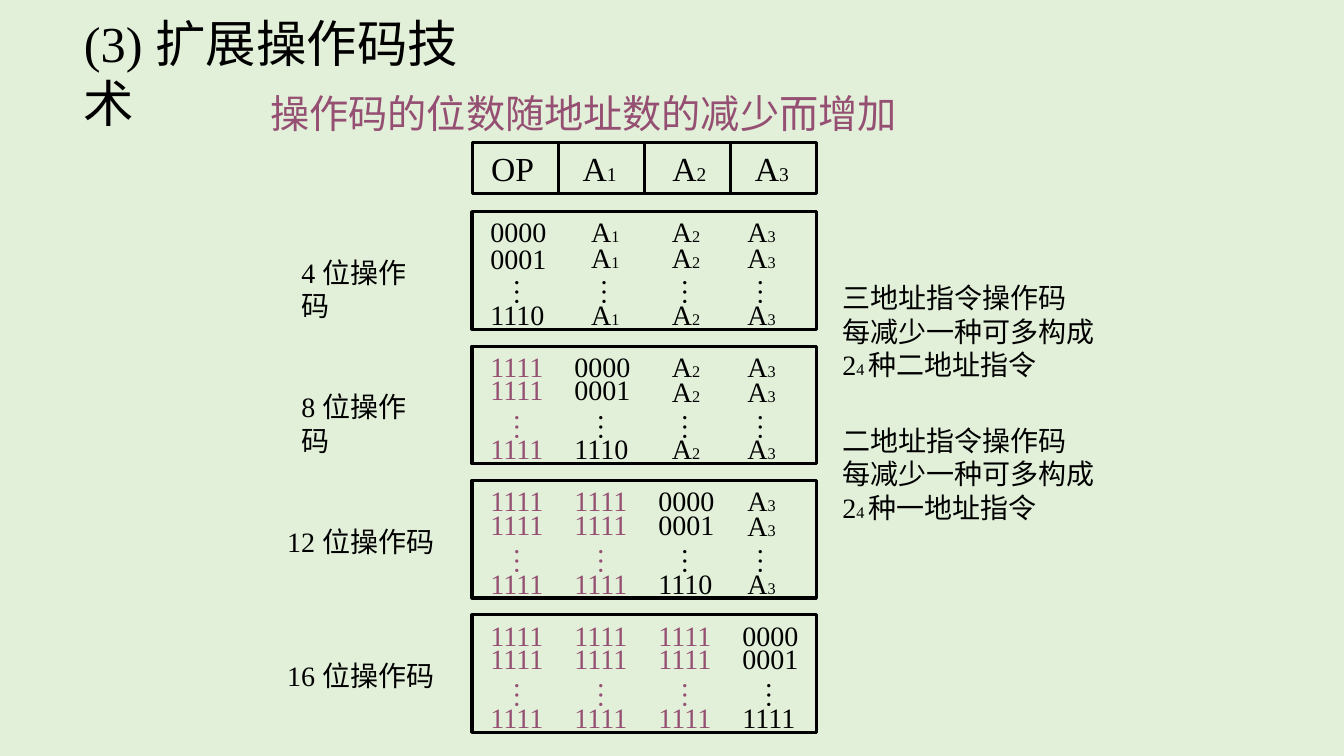
import dataclasses

import pptx
import pptx.dml.color
import pptx.enum.shapes
import pptx.enum.text
import pptx.util

SLIDE_WIDTH, SLIDE_HEIGHT = pptx.util.Inches(13.33), pptx.util.Inches(7.5)
COLUMN, ROW = SLIDE_WIDTH / 16, SLIDE_HEIGHT / 45


@dataclasses.dataclass(frozen=True)
class Theme:
    font: str = "Times New Roman"
    background: str = "E2F0D9"
    ink: str = "000000"
    accent: str = "954F72"
    title: int = 36
    subtitle: int = 28
    header: int = 24
    body: int = 20
    line: float = 2.25
    subscript: int = -25
    low_subscript: int = -15
    superscript: int = 30


THEME = Theme()


@dataclasses.dataclass(frozen=True)
class Box:
    """An area measured in grid columns and rows."""
    left: float
    top: float
    width: float
    height: float

    def inner(self, left, top, width, height):
        return Box(self.left + left, self.top + top, width, height)

    def lengths(self):
        return (round(self.left * COLUMN), round(self.top * ROW),
                round(self.width * COLUMN), round(self.height * ROW))


def color(value):
    return pptx.dml.color.RGBColor.from_string(value)


def write(frame, lines, size, ink=THEME.ink, wrap=True):
    """Fill a frame; each line is a list of (text, baseline shift) pairs."""
    frame.auto_size = pptx.enum.text.MSO_AUTO_SIZE.NONE
    frame.vertical_anchor = pptx.enum.text.MSO_ANCHOR.TOP
    frame.word_wrap = wrap
    for index, line in enumerate(lines):
        para = frame.add_paragraph() if index else frame.paragraphs[0]
        para.alignment = pptx.enum.text.PP_ALIGN.LEFT
        for text, shift in line:
            run = para.add_run()
            run.text = text
            run.font.name = THEME.font
            run.font.size = pptx.util.Pt(size)
            run.font.color.rgb = color(ink)
            if shift:
                run.font._element.set("baseline", str(shift))


def add_text(page, box, lines, size=THEME.body, ink=THEME.ink, wrap=True):
    shape = page.shapes.add_textbox(*box.lengths())
    write(shape.text_frame, lines, size, ink, wrap)
    return shape


def add_frame(page, box):
    frame = page.shapes.add_shape(
        pptx.enum.shapes.MSO_SHAPE.RECTANGLE, *box.lengths())
    frame.shadow.inherit = False
    frame.fill.background()
    frame.line.color.rgb = color(THEME.ink)
    frame.line.width = pptx.util.Pt(THEME.line)


def add_dots(page, box, ink):
    dots = add_text(page, box, [[("…", 0)]], ink=ink, wrap=False)
    dots.text_frame._txBody.bodyPr.set("vert", "eaVert")


def add_headings(page, title_box, subtitle_box):
    title = page.shapes.title
    title.left, title.top, title.width, title.height = title_box.lengths()
    write(title.text_frame, [[("(3) 扩展操作码技术", 0)]], THEME.title)
    add_text(page, subtitle_box, [[("操作码的位数随地址数的减少而增加", 0)]],
             THEME.subtitle, THEME.accent)


def add_format_header(page, box):
    cell_width = box.width / 4
    for field, text_left in enumerate((0.11, 1.12, 2.19, 3.17)):
        add_frame(page, box.inner(field * cell_width, 0, cell_width, box.height))
        line = [(" A", 0), (str(field), THEME.subscript)] if field else [("OP", 0)]
        add_text(page, box.inner(text_left, 0, 0.76, box.height), [line],
                 THEME.header, wrap=False)


def add_code_field(page, box, field, codes, second_top, ink):
    left = 0.1 + field
    for code, top in zip(codes, (-0.1, second_top, 4.8)):
        add_text(page, box.inner(left, top, 0.91, 2.6), [[(code, 0)]],
                 ink=ink, wrap=False)
    add_dots(page, box.inner(left + 0.16, 3.4, 0.65, 2.3), ink)


def add_address_field(page, box, field):
    left = (1.3, 2.26, 3.16)[field - 1]
    shifts = (THEME.subscript, THEME.subscript, THEME.low_subscript)
    for top, shift in zip((-0.1, 1.4, 4.8), shifts):
        add_text(page, box.inner(left, top, 0.6, 2.6),
                 [[("A", 0), (str(field), shift)]], wrap=False)
    add_dots(page, box.inner(left, 3.4, 0.65, 2.3), THEME.ink)


def add_opcode_block(page, box, level):
    """Draw the instructions whose opcode fills the fields up to level."""
    add_frame(page, box)
    second_top = 1.3 if level else 1.5
    last_code = "1111" if level == 3 else "1110"
    for field in range(4):
        if field < level:
            add_code_field(page, box, field, ["1111"] * 3, second_top, THEME.accent)
        elif field == level:
            add_code_field(page, box, field, ["0000", "0001", last_code],
                           second_top, THEME.ink)
        else:
            add_address_field(page, box, field)
    bits = 4 * (level + 1)
    width = 1.82 if bits < 10 else 1.99
    left = -2.15 if bits < 10 else -2.32
    add_text(page, box.inner(left, 2.3, width, 2.6), [[(f"{bits} 位操作码", 0)]])


def add_note(page, box, source, target):
    add_text(page, box, [
        [(f"{source}地址指令操作码", 0)],
        [("每减少一种可多构成", 0)],
        [("2", 0), ("4 ", THEME.superscript), (f"种{target}地址指令", 0)],
    ])


def main():
    deck = pptx.Presentation()
    deck.slide_width, deck.slide_height = SLIDE_WIDTH, SLIDE_HEIGHT
    page = deck.slides.add_slide(deck.slide_layouts.get_by_name("Title Only"))
    page.background.fill.solid()
    page.background.fill.fore_color.rgb = color(THEME.background)

    add_headings(page, Box(0.88, 0.4, 5.29, 4.2), Box(3.1, 5, 8.58, 3.4))
    add_format_header(page, Box(5.62, 8.5, 4.1, 3))
    for level in range(4):
        add_opcode_block(page, Box(5.62, 12.6 + 8 * level, 4.1, 7), level)
    for index, (source, target) in enumerate(("三二", "二一")):
        add_note(page, Box(9.91, 16.4 + 8.5 * index, 4.1, 6.6), source, target)
    deck.save("out.pptx")


if __name__ == "__main__":
    main()
